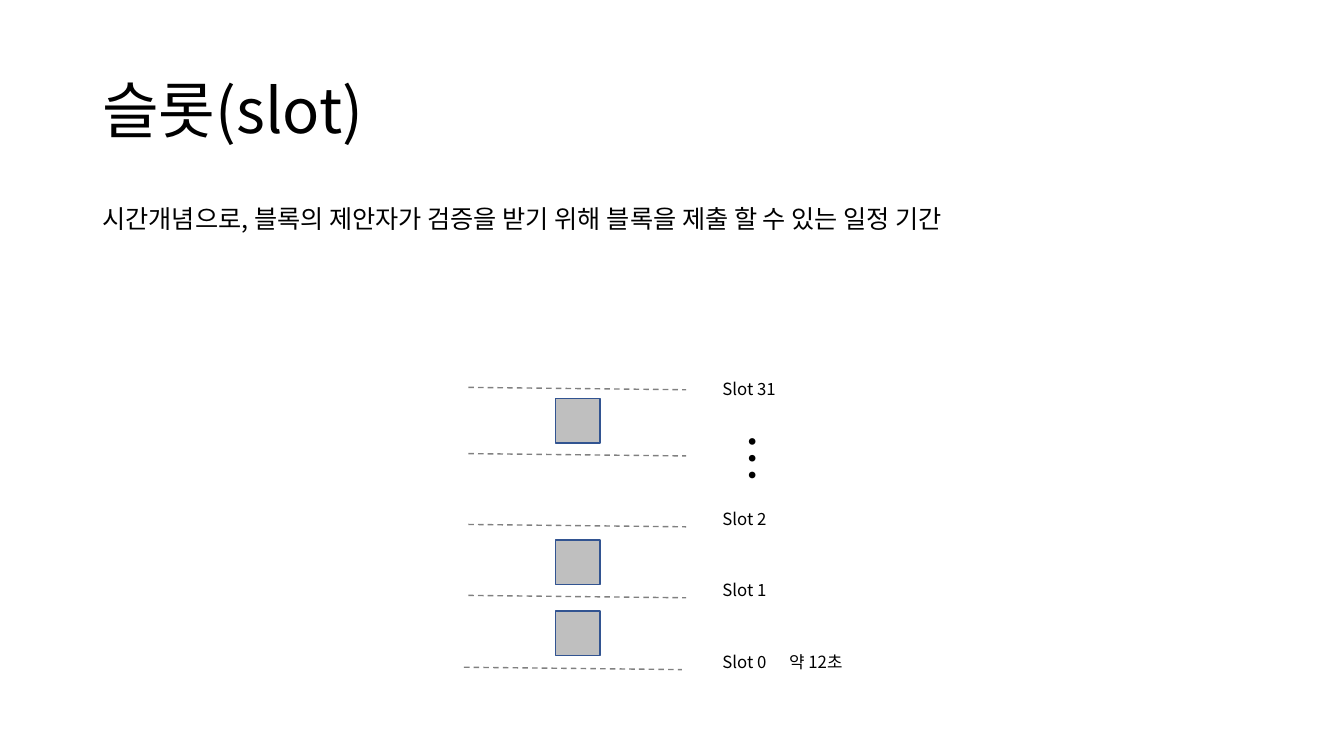
from lxml import etree
from pptx import Presentation
from pptx.dml.color import RGBColor
from pptx.enum import dml, shapes, text
from pptx.oxml import ns
from pptx.util import Pt

FONT = "Noto Sans CJK KR"
COLORS = {"text": "000000", "block": "BFBFBF", "block_edge": "325491", "boundary": "808080"}

deck = Presentation()
deck.slide_width, deck.slide_height = Pt(960), Pt(540)
slide = deck.slides.add_slide(deck.slide_layouts[6])


def add_label(wording, left, top, width, height, size, wrap=True):
    label = slide.shapes.add_textbox(Pt(left), Pt(top), Pt(width), Pt(height))
    label.text_frame.word_wrap = wrap
    run = label.text_frame.paragraphs[0].add_run()
    run.text = wording
    run.font.size = Pt(size)
    run.font.name = FONT
    run.font.color.rgb = RGBColor.from_string(COLORS["text"])
    east_asian = etree.SubElement(run.font._element, ns.qn("a:ea"))
    east_asian.set("typeface", FONT)
    return label


# Heading and definition
title = add_label("슬롯(slot)", 66, 28.8, 828, 104.4, 44)
title.text_frame.vertical_anchor = text.MSO_ANCHOR.MIDDLE
definition = add_label(
    "시간개념으로, 블록의 제안자가 검증을 받기 위해 블록을 제출 할 수 있는 일정 기간",
    66, 144, 828, 116, 18)
definition.text_frame.paragraphs[0].space_before = Pt(10)
for heading in (title, definition):
    heading.text_frame.paragraphs[0].line_spacing = 0.9

# Blocks proposed within slots
for block_top in (284.6, 385.7, 436.5):
    block = slide.shapes.add_shape(
        shapes.MSO_SHAPE.RECTANGLE, Pt(396.7), Pt(block_top), Pt(31.8), Pt(31.8))
    block.shadow.inherit = False
    block.fill.solid()
    block.fill.fore_color.rgb = RGBColor.from_string(COLORS["block"])
    block.line.color.rgb = RGBColor.from_string(COLORS["block_edge"])
    block.line.width = Pt(1)

# Slot boundaries, each falling slightly to the right
for left, top in ((334.5, 276.7), (334.5, 324), (334.5, 374.6), (334.5, 425.3), (331.4, 476.6)):
    boundary = slide.shapes.add_connector(
        shapes.MSO_CONNECTOR.STRAIGHT, Pt(left), Pt(top), Pt(left + 155.6), Pt(top + 1.7))
    boundary.line.color.rgb = RGBColor.from_string(COLORS["boundary"])
    boundary.line.width = Pt(1)
    boundary.line.dash_style = dml.MSO_LINE.DASH
    etree.SubElement(boundary._element.spPr, ns.qn("a:effectLst"))

# Slot names, duration and the gap between slots 2 and 31
for name, top, width in (("Slot 31", 267.1, 55.4), ("Slot 2", 359.8, 47.5),
                         ("Slot 1", 410.6, 47.5), ("Slot 0", 461.8, 47.5)):
    add_label(name, 509, top, width, 21.8, 12, wrap=False)
add_label("약 12초", 556.6, 462.2, 142.6, 21.8, 12)
skipped_slots = add_label("…", 517, 298.1, 42.5, 51.1, 36, wrap=False)
skipped_slots.rotation = 90

deck.save("out.pptx")
